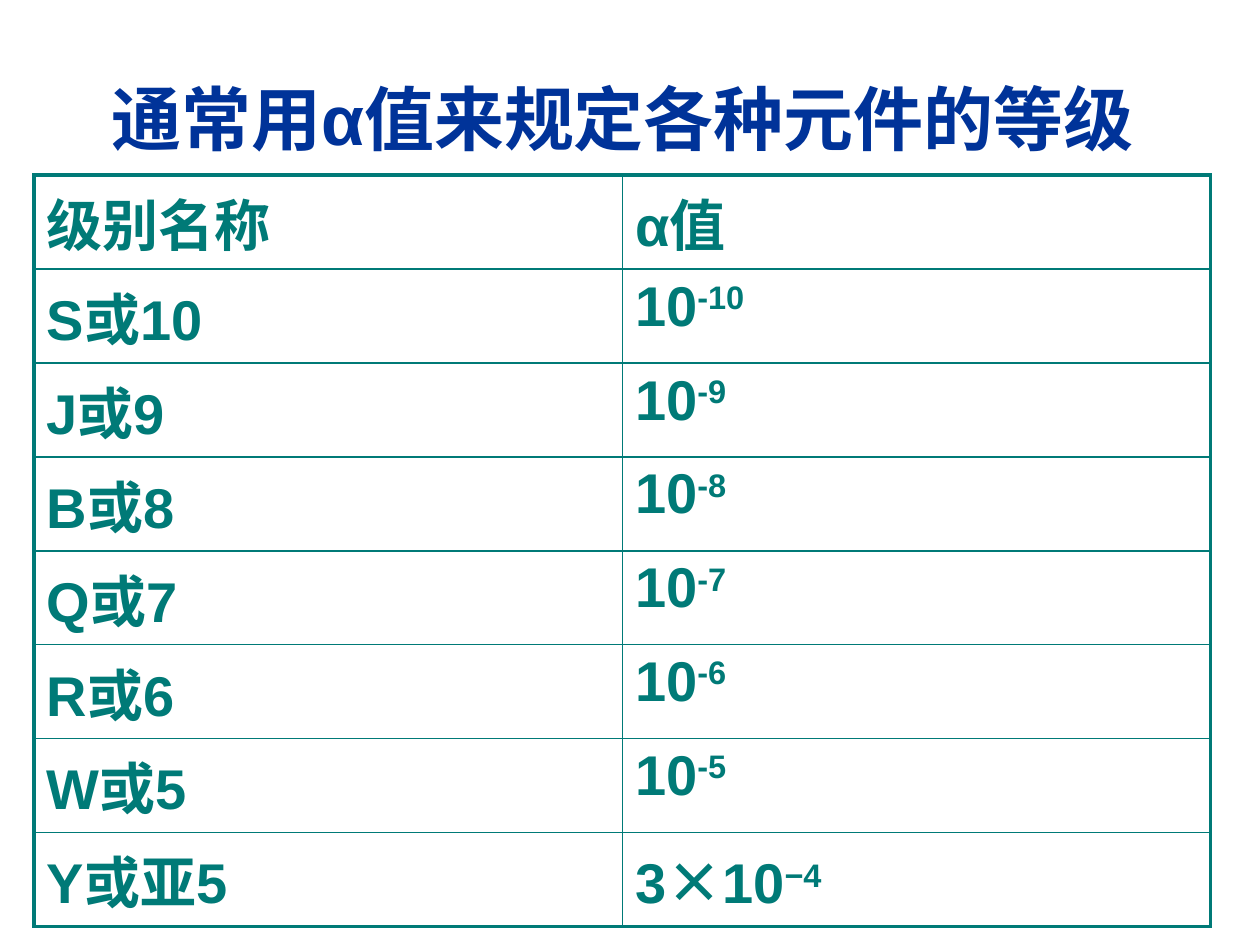
from dataclasses import dataclass

from lxml.etree import SubElement
from pptx import Presentation
from pptx.dml.color import RGBColor
from pptx.enum.text import MSO_ANCHOR, MSO_AUTO_SIZE, PP_ALIGN
from pptx.oxml.ns import qn
from pptx.util import Inches, Pt


@dataclass(frozen=True)
class Theme:
    latin_font: str = "Arial"
    chinese_font: str = "Noto Sans CJK SC"
    title_color: str = "003399"
    table_color: str = "007A77"
    title_size: int = 40
    table_size: int = 32
    outer_border: float = 2.25
    inner_border: float = 1


class SlideBuilder:
    def __init__(self, slide, theme):
        self.slide = slide
        self.theme = theme

    def add_run(self, paragraph, text, size, color, font=None, raised=False):
        run = paragraph.add_run()
        run.text = text
        run.font.name = font or self.theme.latin_font
        run.font.size = Pt(size)
        run.font.bold = True
        run.font.color.rgb = RGBColor.from_string(color)
        properties = run.font._element
        SubElement(properties, qn("a:ea"), typeface=self.theme.chinese_font)
        if raised:
            properties.set("baseline", "30000")

    def set_title(self, text, left, top, width, height):
        title = self.slide.shapes.title
        title.left, title.top = Inches(left), Inches(top)
        title.width, title.height = Inches(width), Inches(height)
        frame = title.text_frame
        frame.word_wrap = True
        frame.auto_size = MSO_AUTO_SIZE.NONE
        frame.vertical_anchor = MSO_ANCHOR.MIDDLE
        paragraph = frame.paragraphs[0]
        paragraph.alignment = PP_ALIGN.CENTER
        self.add_run(paragraph, text, self.theme.title_size, self.theme.title_color)

    def set_borders(self, cell, outer_sides):
        """Draw all four sides of a cell, heavier on the table's outer edge."""
        properties = cell._tc.get_or_add_tcPr()
        for index, side in enumerate("LRTB"):
            width = self.theme.outer_border if side in outer_sides else self.theme.inner_border
            line = properties.makeelement(qn(f"a:ln{side}"), {"w": str(int(Pt(width)))})
            fill = SubElement(line, qn("a:solidFill"))
            SubElement(fill, qn("a:srgbClr"), val=self.theme.table_color)
            properties.insert(index, line)

    def fill_cell(self, cell, parts):
        """Write parts, each a text or a (text, run options) pair."""
        cell.fill.background()
        paragraph = cell.text_frame.paragraphs[0]
        for part in parts:
            text, options = (part, {}) if isinstance(part, str) else part
            self.add_run(paragraph, text, self.theme.table_size, self.theme.table_color, **options)

    def add_table(self, rows, left, top, width, row_height):
        row_count, column_count = len(rows), len(rows[0])
        table = self.slide.shapes.add_table(
            row_count, column_count, Inches(left), Inches(top),
            Inches(width), Inches(row_height * row_count)).table
        table.first_row = False
        table.horz_banding = False
        for row_index, row in enumerate(rows):
            for column_index, parts in enumerate(row):
                cell = table.cell(row_index, column_index)
                self.fill_cell(cell, parts)
                edges = {"L": column_index == 0, "R": column_index == column_count - 1,
                         "T": row_index == 0, "B": row_index == row_count - 1}
                self.set_borders(cell, [side for side, outer in edges.items() if outer])


def main():
    presentation = Presentation()
    presentation.slide_width, presentation.slide_height = Inches(10), Inches(7.5)
    slide = presentation.slides.add_slide(presentation.slide_layouts[5])
    theme = Theme()
    builder = SlideBuilder(slide, theme)

    raised = {"raised": True}
    grades = [([f"{letter}或{number}"], ["10", (f"-{number}", raised)])
              for letter, number in zip("SJBQRW", range(10, 4, -1))]
    last_grade = (["Y或亚5"],
                  ["3", ("×", {"font": theme.chinese_font}), "10", ("−4", raised)])

    builder.set_title("通常用α值来规定各种元件的等级", 0.27, 0.54, 9.34, 0.79)
    builder.add_table([(["级别名称"], ["α值"]), *grades, last_grade], 0.27, 1.39, 9.34, 0.71)
    presentation.save("out.pptx")


if __name__ == "__main__":
    main()
